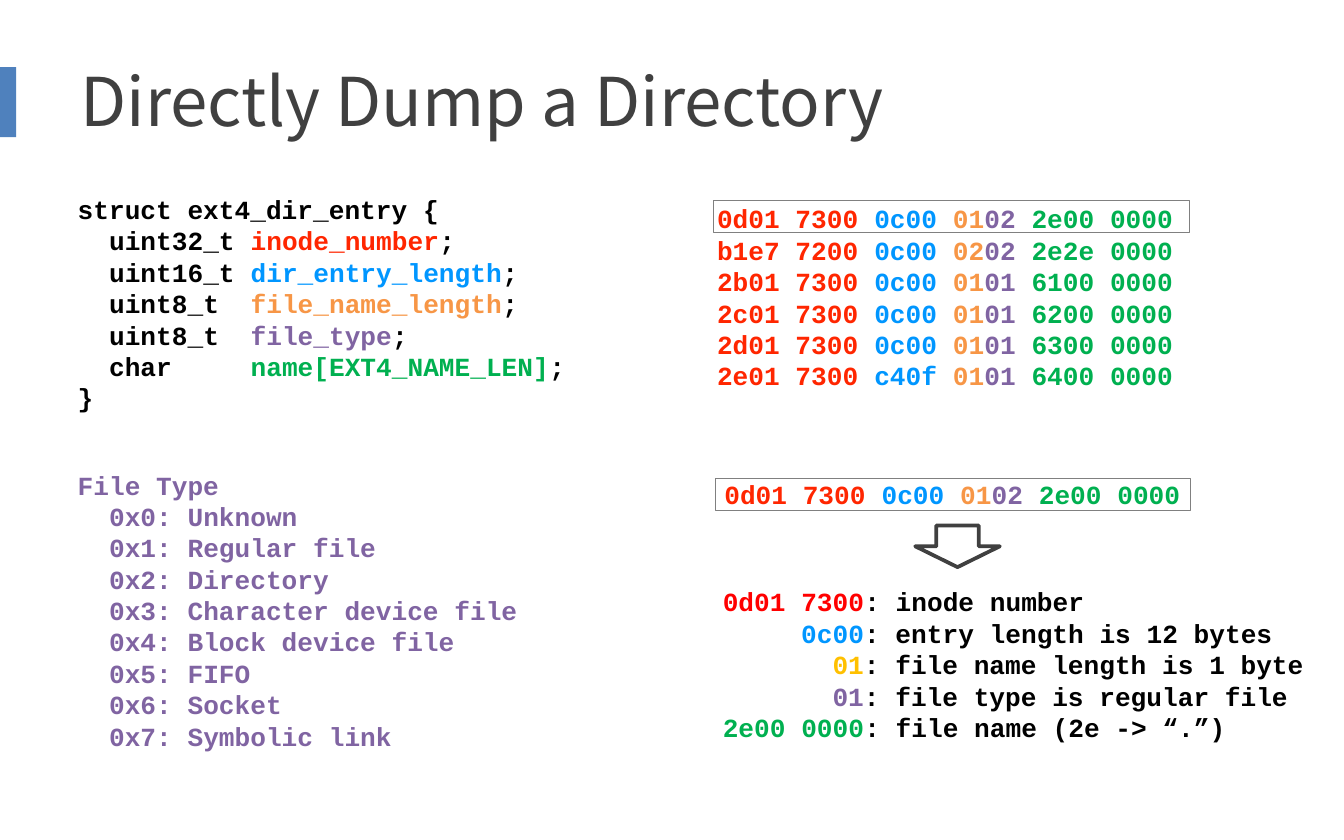
from dataclasses import dataclass
from itertools import pairwise

from pptx import Presentation
from pptx.dml.color import RGBColor
from pptx.enum.shapes import MSO_SHAPE
from pptx.enum.text import MSO_ANCHOR, PP_ALIGN
from pptx.util import Pt

SCALE = 9144


def px(size):
    return int(size * SCALE)


@dataclass(frozen=True)
class Theme:
    head: str = "Noto Sans CJK SC"
    code: str = "Courier New"
    large: int = 36
    small: int = 14
    black: str = "000000"
    dark: str = "404040"
    gray: str = "808080"
    accent: str = "4F81BD"
    red: str = "FF2600"
    blue: str = "0096FF"
    orange: str = "F79646"
    purple: str = "8064A2"
    green: str = "00B050"
    pure: str = "FF0000"
    gold: str = "FFC000"


class Deck:
    def __init__(self, theme, width, height):
        self.theme = theme
        self.file = Presentation()
        self.file.slide_width, self.file.slide_height = px(width), px(height)
        self.slide = self.file.slides.add_slide(self.file.slide_layouts[6])

    def format(self, target, values):
        for name, value in values.items():
            setattr(target, name, value)

    def text(self, area, lines, font, align=PP_ALIGN.LEFT, **frame):
        box = self.slide.shapes.add_textbox(*map(px, area)).text_frame
        self.format(box, {"word_wrap": True, **frame})
        for i, (pad, parts) in enumerate(lines):
            para = box.add_paragraph() if i else box.paragraphs[0]
            para.alignment = align
            if pad:
                indent = Pt(pad * self.theme.small * 0.6)
                para._p.get_or_add_pPr().set("marL", str(indent))
            for words, color in parts:
                run = para.add_run()
                run.text = words
                self.format(run.font, font)
                run.font.color.rgb = RGBColor.from_string(color)

    def title(self, area, words):
        font = {"name": self.theme.head, "size": Pt(self.theme.large)}
        self.text(area, [(0, [(words, self.theme.dark)])], font,
                  vertical_anchor=MSO_ANCHOR.MIDDLE)

    def code(self, area, lines, **style):
        font = {"name": self.theme.code, "size": Pt(self.theme.small), "bold": True}
        self.text(area, lines, font, **style)

    def shape(self, kind, area, fill=None, line=None, width=0):
        item = self.slide.shapes.add_shape(kind, *map(px, area))
        item.shadow.inherit = False
        for part, color in ((item.fill, fill), (item.line.fill, line)):
            if color:
                part.solid()
                part.fore_color.rgb = RGBColor.from_string(color)
            else:
                part.background()
        if line:
            item.line.width = Pt(width)

    def save(self):
        self.file.save("out.pptx")


def main():
    theme = Theme()
    inks = [theme.red, theme.blue, theme.orange, theme.purple, theme.green]
    deck = Deck(theme, 1000, 625)

    def entry(row):
        cuts = pairwise([0, 10, 15, 17, 20, 30])
        return 0, [(row[a:b], ink) for (a, b), ink in zip(cuts, inks)]

    deck.shape(MSO_SHAPE.RECTANGLE, (-6, 50, 18, 52), fill=theme.accent)
    deck.title((50, 25, 900, 98), "Directly Dump a Directory")

    rows = [
        "0d01 7300 0c00 0102 2e00 0000 ",
        "b1e7 7200 0c00 0202 2e2e 0000 ",
        "2b01 7300 0c00 0101 6100 0000 ",
        "2c01 7300 0c00 0101 6200 0000 ",
        "2d01 7300 0c00 0101 6300 0000 ",
        "2e01 7300 c40f 0101 6400 0000 ",
    ]
    deck.code((500, 146, 418, 151), map(entry, rows), align=PP_ALIGN.CENTER)

    fields = [
        ("uint32_t", "inode_number"),
        ("uint16_t", "dir_entry_length"),
        ("uint8_t", "file_name_length"),
        ("uint8_t", "file_type"),
        ("char", "name[EXT4_NAME_LEN]"),
    ]
    body = [
        (2, [(kind.ljust(9), theme.black), (name, ink), (";", theme.black)])
        for (kind, name), ink in zip(fields, inks)
    ]
    start = (0, [("struct ext4_dir_entry {", theme.black)])
    end = (0, [("}", theme.black)])
    deck.code((48, 139, 528, 175), [start, *body, end])

    deck.code((528, 351, 373, 34), [entry(rows[0])],
              align=PP_ALIGN.CENTER, word_wrap=False)

    facts = [
        ("0d01 7300", theme.pure, "inode number"),
        ("0c00", theme.blue, "entry length is 12 bytes"),
        ("01", theme.gold, "file name length is 1 byte"),
        ("01", theme.purple, "file type is regular file"),
        ("2e00 0000", theme.green, "file name (2e -> “.”)"),
    ]
    deck.code((528, 431, 520, 128), [
        (9 - len(value), [(value, ink), (f": {note}", theme.black)])
        for value, ink, note in facts
    ])

    types = ["Unknown", "Regular file", "Directory", "Character device file",
             "Block device file", "FIFO", "Socket", "Symbolic link"]
    items = [(2, [(f"0x{i}: {name}", theme.purple)]) for i, name in enumerate(types)]
    deck.code((48, 344, 402, 222), [(0, [("File Type", theme.purple)]), *items])

    deck.shape(MSO_SHAPE.DOWN_ARROW, (681, 391, 63, 31), line=theme.dark, width=2)
    for left, top in ((531, 149), (532, 356)):
        deck.shape(MSO_SHAPE.RECTANGLE, (left, top, 354, 24),
                   line=theme.gray, width=0.25)
    deck.save()


if __name__ == "__main__":
    main()
